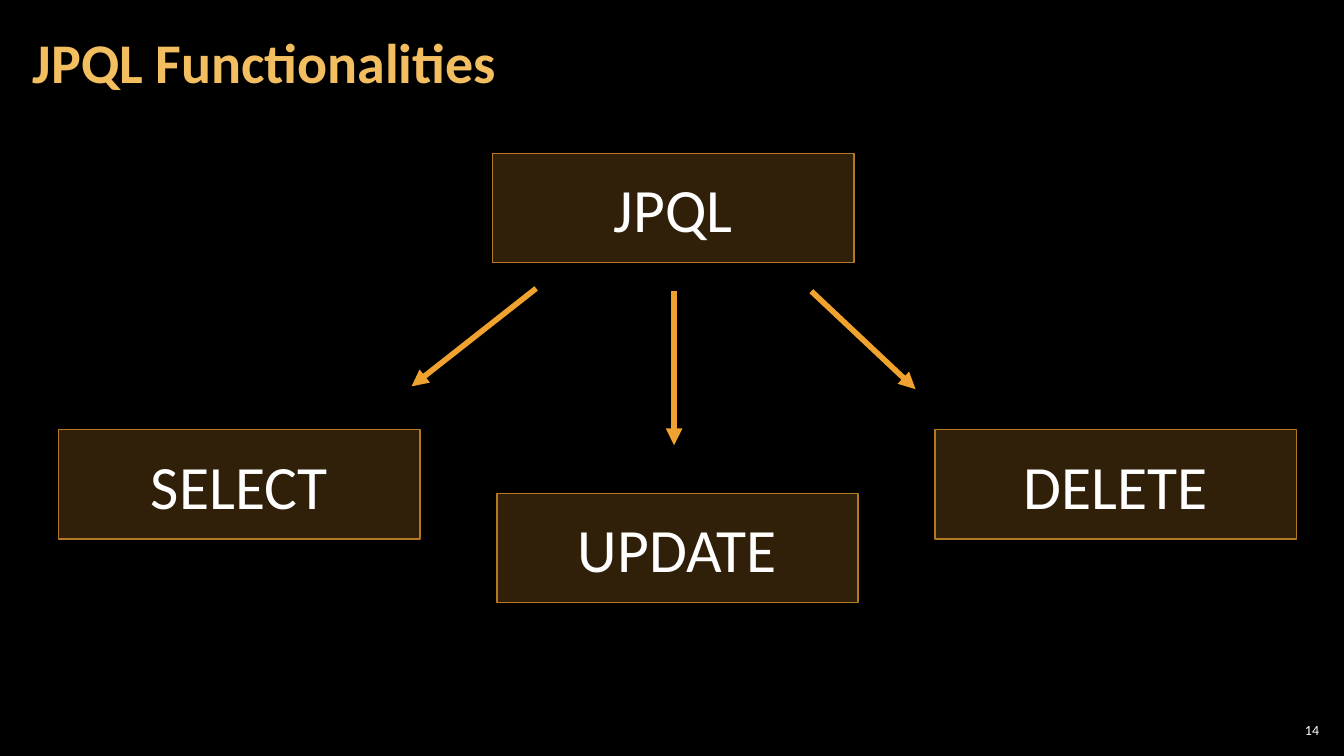
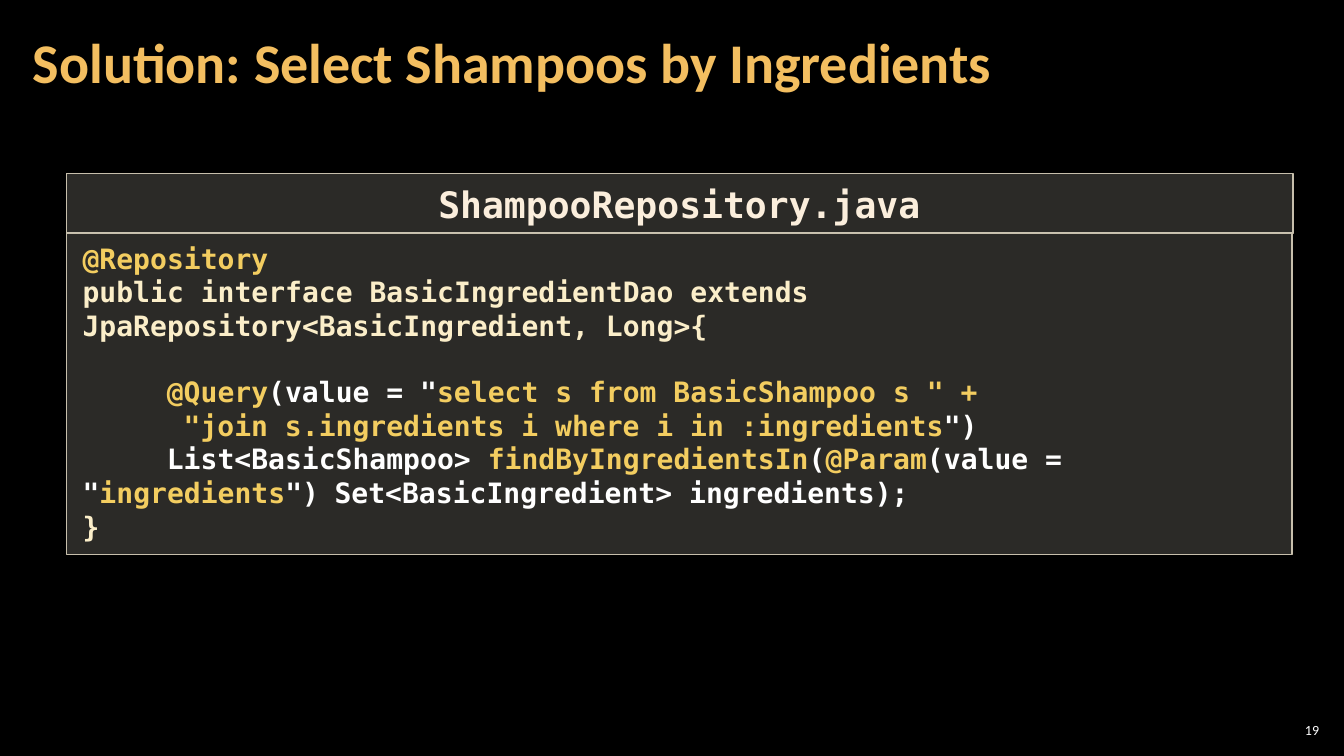
from dataclasses import dataclass

from lxml import etree
from pptx import Presentation
from pptx.dml.color import RGBColor
from pptx.enum.shapes import MSO_CONNECTOR, MSO_SHAPE
from pptx.enum.text import MSO_ANCHOR, PP_ALIGN
from pptx.oxml.ns import qn
from pptx.util import Pt

RECTANGLE = MSO_SHAPE.RECTANGLE
STRAIGHT = MSO_CONNECTOR.STRAIGHT
TOP, MIDDLE = MSO_ANCHOR.TOP, MSO_ANCHOR.MIDDLE
LEFT, CENTER, RIGHT = PP_ALIGN.LEFT, PP_ALIGN.CENTER, PP_ALIGN.RIGHT


@dataclass(frozen=True)
class Theme:
    background: str = "000000"
    title: str = "F3BE60"
    white: str = "FFFFFF"
    orange: str = "F0A22E"
    orange_edge: str = "B27822"
    panel: str = "D9D5C7"
    panel_edge: str = "C7BFAC"
    file_name: str = "FBEEDC"
    code: str = "FBEEC9"
    highlight: str = "F3CD60"
    body_font: str = "Calibri"
    code_font: str = "DejaVu Sans Mono"
    title_size: int = 40
    box_size: int = 44
    file_size: int = 26
    code_size: int = 20
    number_size: int = 10


theme = Theme()


def write(page, text, at, size, color=theme.white, font=theme.body_font, bold=False,
          align=LEFT, anchor=MIDDLE, inset=(7.2, 3.6), spacing=None, fill=None, edge=None):
    """Add a text box, or a translucent rectangle if fill is given.

    text is a string or a list of paragraphs, each a list of (text, colour) spans.
    """
    place = [Pt(length) for length in at]
    if fill:
        box = page.shapes.add_shape(RECTANGLE, *place)
        box.shadow.inherit = False
        box.fill.solid()
        box.fill.fore_color.rgb = RGBColor.from_string(fill)
        fill_color = box.fill._xPr.find(".//" + qn("a:srgbClr"))
        etree.SubElement(fill_color, qn("a:alpha"), val="20000")
        box.line.color.rgb = RGBColor.from_string(edge)
        box.line.width = Pt(1)
    else:
        box = page.shapes.add_textbox(*place)
    frame = box.text_frame
    frame.word_wrap = True
    frame.vertical_anchor = anchor
    frame.margin_left = frame.margin_right = Pt(inset[0])
    frame.margin_top = frame.margin_bottom = Pt(inset[1])
    paragraphs = [[(text, color)]] if isinstance(text, str) else text
    for index, spans in enumerate(paragraphs):
        para = frame.add_paragraph() if index else frame.paragraphs[0]
        para.alignment = align
        if spacing:
            para.line_spacing = spacing
        for words, span_color in spans:
            span = para.add_run()
            span.text = words
            span.font.name = font
            span.font.size = Pt(size)
            span.font.bold = bold
            span.font.color.rgb = RGBColor.from_string(span_color)
    return box


def add_page(deck, title, number):
    page = deck.slides.add_slide(deck.slide_layouts[6])
    page.background.fill.solid()
    page.background.fill.fore_color.rgb = RGBColor.from_string(theme.background)
    write(page, number, (911, 514, 34, 15), theme.number_size, align=RIGHT, inset=(2.8, 2.8))
    write(page, title, (15, 3, 754, 87), theme.title_size, color=theme.title, bold=True,
          inset=(8.5, 2.8), spacing=0.9)
    return page


deck = Presentation()
deck.slide_width, deck.slide_height = Pt(960), Pt(540)

# Functionalities: one root box, three branches
page = add_page(deck, "JPQL Functionalities", "14")
for label, left, top in (("JPQL", 352, 109.5), ("SELECT", 42, 307),
                         ("UPDATE", 355, 352.5), ("DELETE", 668, 307)):
    write(page, label, (left, top, 258, 78), theme.box_size, align=CENTER,
          fill=theme.orange, edge=theme.orange_edge)

for ends in ((383, 206, 294, 276), (579.5, 208, 654, 278), (481.5, 208, 481.5, 318)):
    arrow = page.shapes.add_connector(STRAIGHT, *[Pt(length) for length in ends])
    arrow.line.color.rgb = RGBColor.from_string(theme.orange)
    arrow.line.width = Pt(4)
    etree.SubElement(arrow.line._get_or_add_ln(), qn("a:tailEnd"), type="triangle")
    etree.SubElement(arrow._element.spPr, qn("a:effectLst"))

# Solution: a code panel under its file name
page = add_page(deck, "Solution: Select Shampoos by Ingredients", "19")
plain, mark, pale = theme.white, theme.highlight, theme.code
code_lines = [
    [("@Repository", mark)],
    [("public interface BasicIngredientDao extends JpaRepository<BasicIngredient, Long>{", pale)],
    [("@Query", mark), ('(value = "', plain), ('select s from BasicShampoo s " +', mark)],
    [('"join s.ingredients i where i in :ingredients', mark), ('")', plain)],
    [("List<BasicShampoo> ", plain), ("findByIngredientsIn", mark), ("(", plain),
     ("@Param", mark), ('(value = "', plain), ("ingredients", mark),
     ('")\tSet<BasicIngredient> ingredients);', plain)],
    [("}", pale)],
]
panel_style = dict(bold=True, font=theme.code_font, inset=(11.5, 5.75),
                   fill=theme.panel, edge=theme.panel_edge)
panel = write(page, code_lines, (47.5, 166.5, 875.5, 229.5), theme.code_size,
              anchor=TOP, **panel_style)
write(page, "ShampooRepository.java", (47.5, 124, 876, 43), theme.file_size,
      color=theme.file_name, align=CENTER, **panel_style)

character_width = 0.602 * theme.code_size
code_paras = panel.text_frame.paragraphs
query, join, method = code_paras[2:5]
query.space_before = Pt(23.3)
for para, columns in ((query, 5), (join, 6), (method, 5)):
    para._p.get_or_add_pPr().set("indent", str(Pt(columns * character_width)))
tabs = etree.SubElement(method._p.get_or_add_pPr(), qn("a:tabLst"))
etree.SubElement(tabs, qn("a:tab"), pos=str(Pt(17 * character_width)), algn="l")

deck.save("out.pptx")
